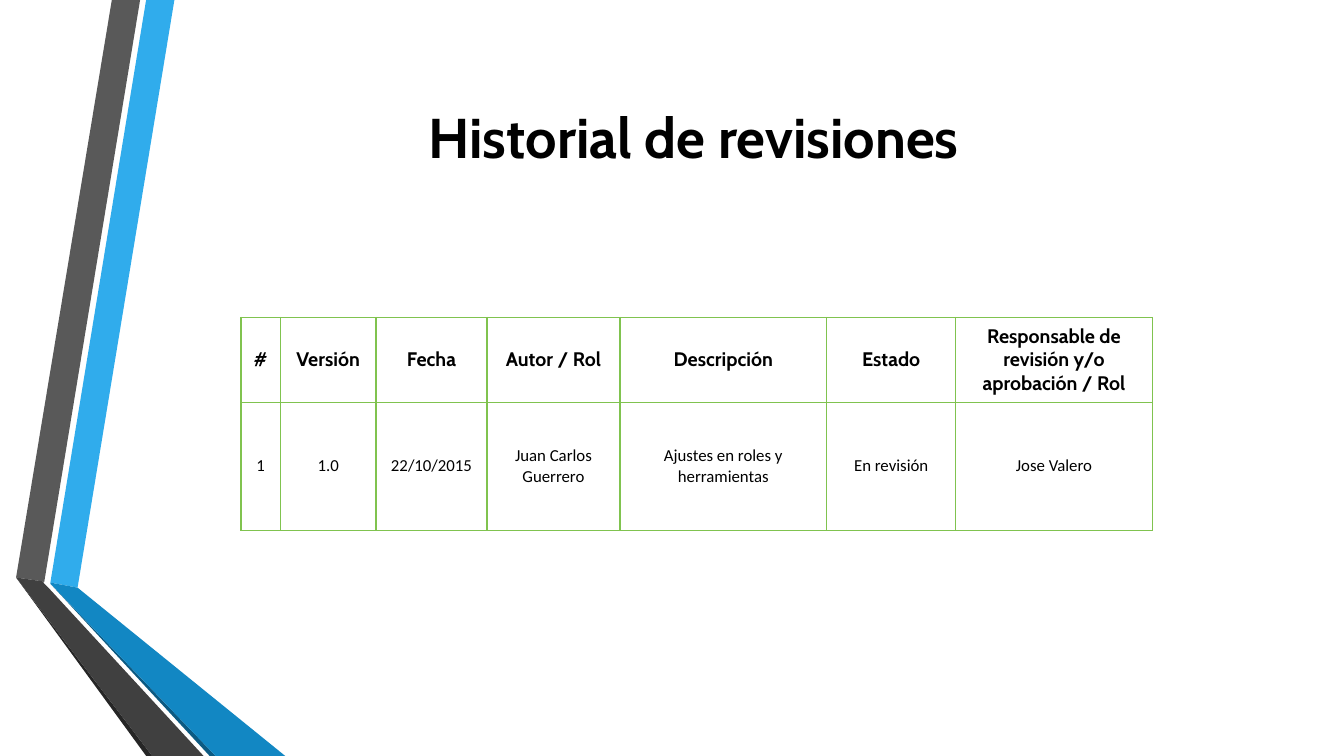
from dataclasses import dataclass

from lxml import etree
from pptx import Presentation
from pptx import util as u
from pptx.dml.color import RGBColor
from pptx.enum import text
from pptx.oxml import ns


@dataclass(frozen=True)
class Theme:
    ink: str = "000000"
    border: str = "80C34F"
    blue: str = "30ACEC"
    blue_mid: str = "1287C3"
    blue_dark: str = "0C5A82"
    gray: str = "595959"
    gray_mid: str = "404040"
    gray_dark: str = "262626"
    heading_font: str = "Cabin"
    body_font: str = "Calibri"
    title_size: int = 40
    header_size: int = 14
    body_size: int = 12
    border_width: int = 1


THEME = Theme()

RIBBONS = [
    (THEME.blue, [(0.5, 5.78), (0.77, 5.83), (1.73, 0), (1.45, 0)]),
    (THEME.gray, [(1.39, 0), (1.11, 0), (0.16, 5.73), (0.44, 5.77)]),
    (THEME.gray_dark, [(0.16, 5.73), (1.45, 7.5), (1.51, 7.5)]),
    (THEME.blue_dark, [(0.5, 5.79), (2.08, 7.5), (2.14, 7.5)]),
    (THEME.blue_mid, [(0.5, 5.79), (2.14, 7.5), (2.83, 7.5), (0.77, 5.83), (0.5, 5.78)]),
    (THEME.gray_mid, [(2.02, 7.5), (0.48, 5.83), (0.43, 5.78), (0.44, 5.77),
                      (0.16, 5.73), (1.51, 7.5)]),
]

COLUMN_WIDTHS = [0.39, 0.95, 1.1, 1.32, 2.05, 1.28, 1.95]
ROW_HEIGHTS = [0.84, 1.27]
REVISIONS = [
    ["#", "Versión", "Fecha", "Autor / Rol", "Descripción", "Estado",
     "Responsable de revisión y/o aprobación / Rol"],
    ["1", "1.0", "22/10/2015", "Juan Carlos Guerrero",
     "Ajustes en roles y herramientas", "En revisión", "Jose Valero"],
]


def add_run(paragraph, words, size, font, bold):
    run = paragraph.add_run()
    run.text = words
    run.font.size = u.Pt(size)
    run.font.name = font
    run.font.bold = bold
    run.font.color.rgb = RGBColor.from_string(THEME.ink)


def add_ribbon(shapes, color, points):
    corners = [(u.Inches(x), u.Inches(y)) for x, y in points]
    outline = shapes.build_freeform(*corners[0])
    outline.add_line_segments(corners[1:], close=True)
    ribbon = outline.convert_to_shape()
    ribbon.shadow.inherit = False
    ribbon.fill.solid()
    ribbon.fill.fore_color.rgb = RGBColor.from_string(color)
    ribbon.line.fill.background()


def set_title(title, words):
    title.left, title.top = u.Inches(4.15), u.Inches(0.97)
    title.width, title.height = u.Inches(5.51), u.Inches(0.77)
    frame = title.text_frame
    frame.word_wrap = False
    frame.auto_size = text.MSO_AUTO_SIZE.SHAPE_TO_FIT_TEXT
    frame.vertical_anchor = text.MSO_ANCHOR.TOP
    paragraph = frame.paragraphs[0]
    paragraph.alignment = text.PP_ALIGN.LEFT
    add_run(paragraph, words, THEME.title_size, THEME.heading_font, True)


def set_borders(cell):
    """Draw the four cell edges, which must come before the cell fill."""
    properties = cell._tc.get_or_add_tcPr()
    for position, edge in enumerate(("lnL", "lnR", "lnT", "lnB")):
        line = etree.Element(ns.qn(f"a:{edge}"), w=str(u.Pt(THEME.border_width)))
        fill = etree.SubElement(line, ns.qn("a:solidFill"))
        etree.SubElement(fill, ns.qn("a:srgbClr"), val=THEME.border)
        properties.insert(position, line)


def fill_cell(cell, words, is_header):
    cell.fill.background()
    set_borders(cell)
    cell.vertical_anchor = text.MSO_ANCHOR.MIDDLE
    paragraph = cell.text_frame.paragraphs[0]
    paragraph.alignment = text.PP_ALIGN.CENTER
    size = THEME.header_size if is_header else THEME.body_size
    font = THEME.heading_font if is_header else THEME.body_font
    add_run(paragraph, words, size, font, is_header)


def add_revision_table(shapes):
    table = shapes.add_table(
        len(ROW_HEIGHTS), len(COLUMN_WIDTHS), u.Inches(2.39), u.Inches(3.15),
        u.Inches(sum(COLUMN_WIDTHS)), u.Inches(sum(ROW_HEIGHTS))).table
    table.first_row = False
    table.horz_banding = False
    for column, width in zip(table.columns, COLUMN_WIDTHS):
        column.width = u.Inches(width)
    for index, (row, height, entries) in enumerate(zip(table.rows, ROW_HEIGHTS, REVISIONS)):
        row.height = u.Inches(height)
        for cell, words in zip(row.cells, entries):
            fill_cell(cell, words, is_header=index == 0)


def main():
    deck = Presentation()
    deck.slide_width, deck.slide_height = u.Inches(13.33), u.Inches(7.5)
    title_only = deck.slide_layouts[5]
    slide = deck.slides.add_slide(title_only)
    ribbons = slide.shapes.add_group_shape()
    for color, points in RIBBONS:
        add_ribbon(ribbons.shapes, color, points)
    set_title(slide.shapes.title, "Historial de revisiones")
    add_revision_table(slide.shapes)
    deck.save("out.pptx")


if __name__ == "__main__":
    main()
